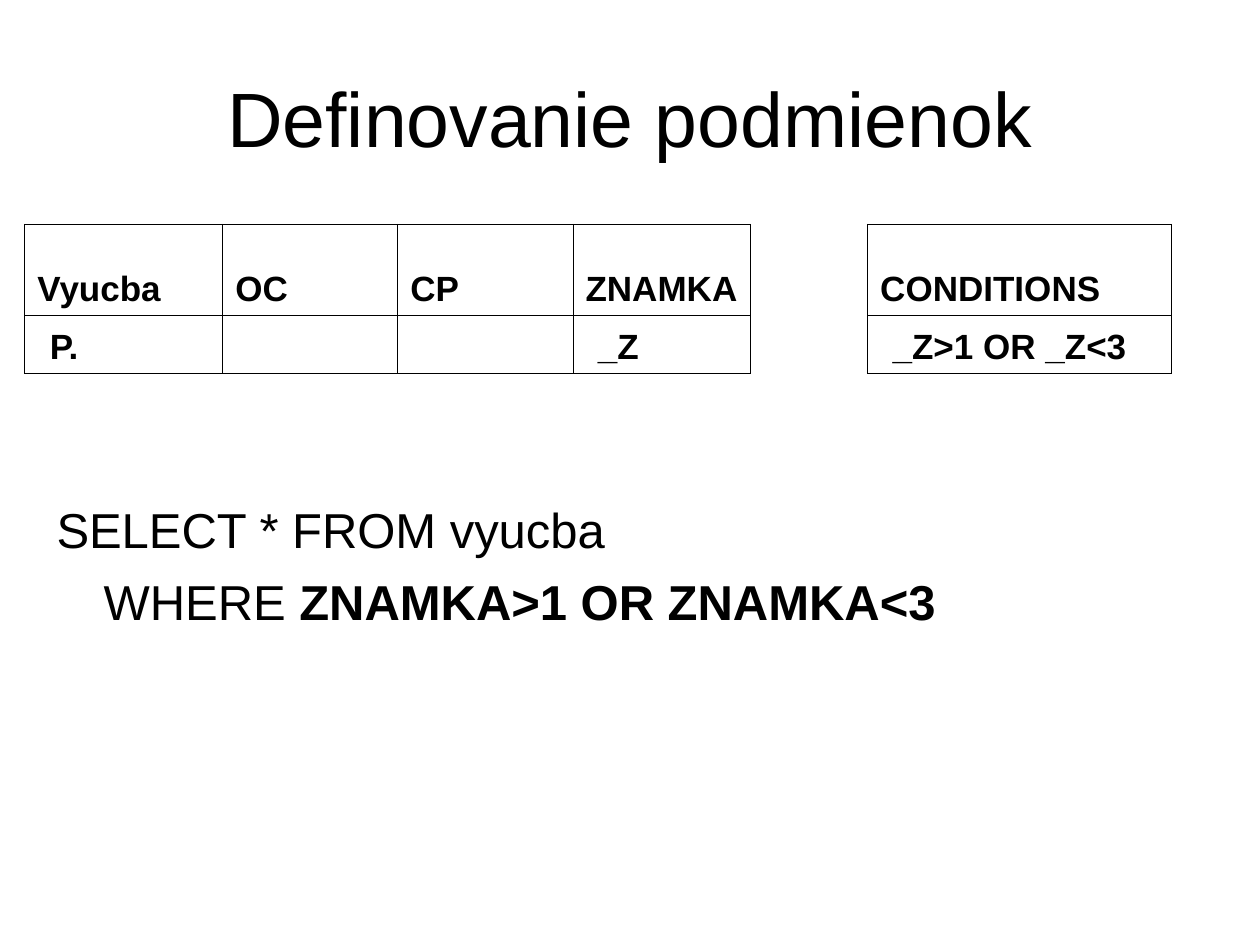
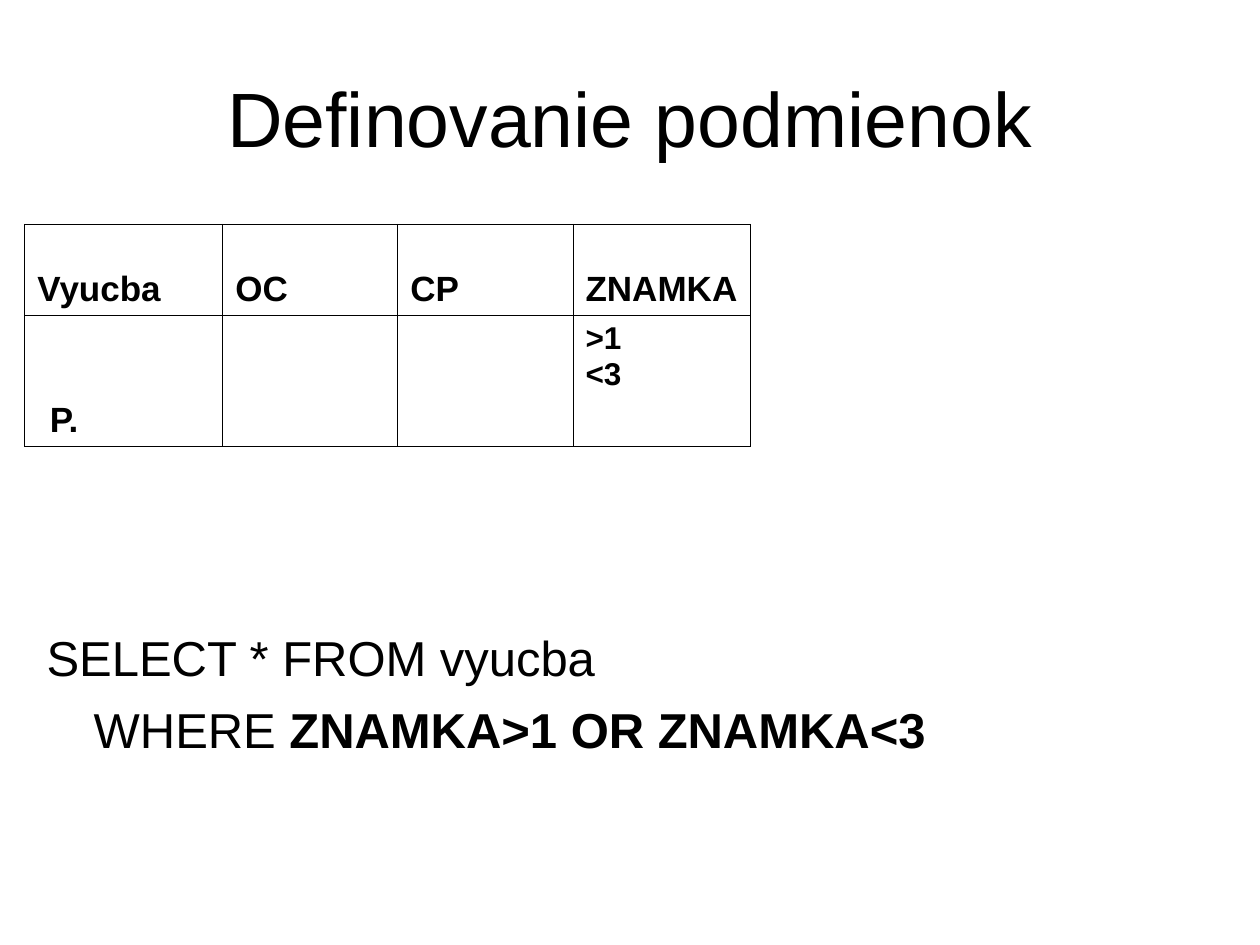
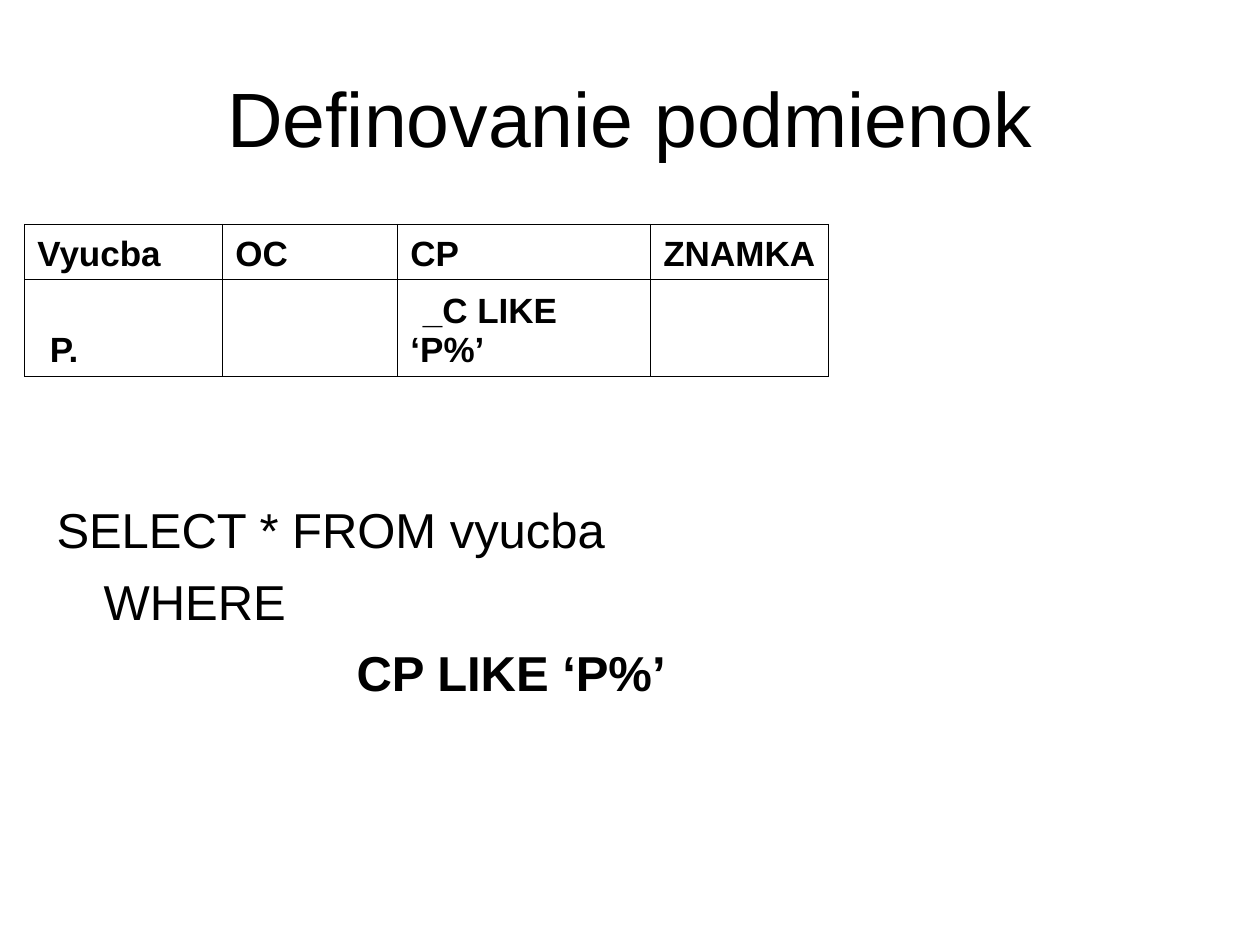
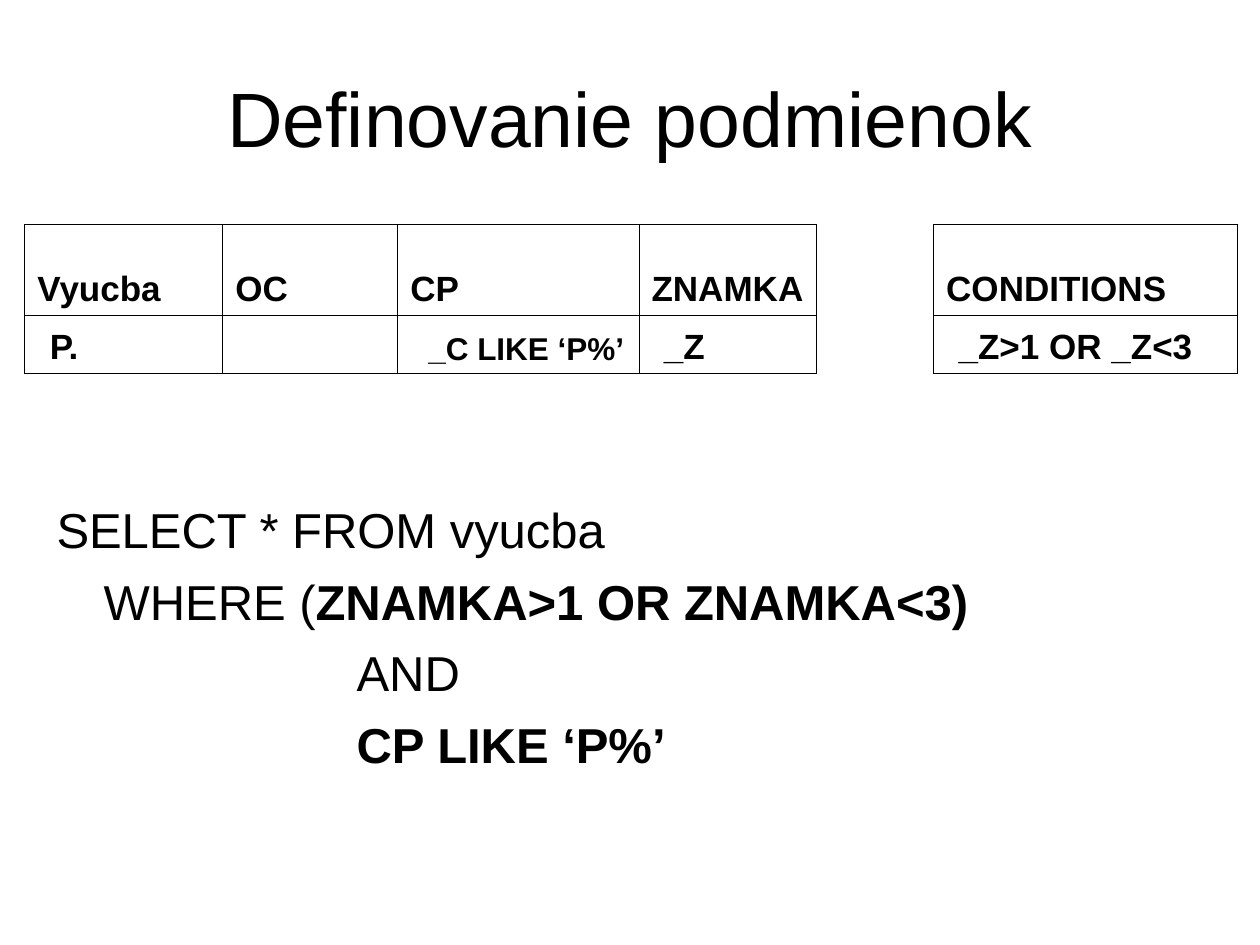
from dataclasses import dataclass, field

from lxml.etree import SubElement
from pptx import Presentation
from pptx.dml.color import RGBColor
from pptx.enum.text import MSO_ANCHOR, MSO_AUTO_SIZE, PP_ALIGN
from pptx.oxml import parse_xml
from pptx.oxml.ns import nsdecls, qn
from pptx.presentation import Presentation as Deck
from pptx.slide import Slide
from pptx.table import _Cell
from pptx.text.text import _Paragraph
from pptx.util import Cm, Pt


# Shared look
@dataclass(frozen=True)
class Theme:
    font: str = "Arial"
    ink: RGBColor = RGBColor(0x00, 0x00, 0x00)
    paper: RGBColor = RGBColor(0xFF, 0xFF, 0xFF)
    title_size: float = 44
    query_size: float = 28
    query_line: float = 34
    query_gap: float = 7
    cell_size: float = 20
    small_cell_size: float = 18
    border_width: float = 0.45


THEME = Theme()
TITLE = "Definovanie podmienok"
TITLE_ONLY = 5

# Column widths, row heights and indents in centimetres
NAME, CODE, GRADE, GAP, CONDITIONS = 3.99, 3.53, 3.58, 2.36, 6.12
HEADER_ROW, VALUE_ROW = 1.83, 1.17
CLAUSE, OPERAND = 0.95, 6.05
CELL_INDENT = 0.25


@dataclass(frozen=True)
class Value:
    """Content of a table cell; a missing Value is an empty cell."""
    lines: tuple[str, ...]
    size: float = THEME.cell_size
    indent: float = CELL_INDENT
    anchor: MSO_ANCHOR = MSO_ANCHOR.BOTTOM


@dataclass(frozen=True)
class Column:
    header: str
    width: float
    value: Value | None = None
    is_gap: bool = False


@dataclass(frozen=True)
class QueryLine:
    plain: str = ""
    bold: str = ""
    indent: float = 0


@dataclass(frozen=True)
class Example:
    columns: tuple[Column, ...]
    query: tuple[QueryLine, ...]
    rows: tuple[float, float] = (HEADER_ROW, VALUE_ROW)
    query_box: tuple[float, float, float, float] = field(
        default=(0.89, 9.93, 22.86, 6.07))


# Parts shared by the examples
PRINT = Column("Vyucba", NAME, Value(("P.",)))
SUBJECT_CODE = Column("OC", CODE)
PERSON_CODE = Column("CP", CODE)
GRADE_VARIABLE = Column("ZNAMKA", GRADE, Value(("_Z",)))
CONDITION_BOX = (
    Column("", GAP, is_gap=True),
    Column("CONDITIONS", CONDITIONS, Value(("_Z>1 OR _Z<3",))),
)
SELECT = QueryLine("SELECT * FROM vyucba")
WHERE_GRADE = QueryLine("WHERE ", "ZNAMKA>1 OR ZNAMKA<3", CLAUSE)
LIKE_LINE = QueryLine(bold="CP LIKE ‘P%’", indent=OPERAND)
LIKE_TEXT = ("_C LIKE ‘P%’",)

EXAMPLES = (
    Example((PRINT, SUBJECT_CODE, PERSON_CODE, GRADE_VARIABLE, *CONDITION_BOX),
            (SELECT, WHERE_GRADE)),
    Example((PRINT, SUBJECT_CODE, PERSON_CODE,
             Column("ZNAMKA", GRADE, Value((">1", "<3"), THEME.small_cell_size,
                                           0, MSO_ANCHOR.TOP))),
            (SELECT, WHERE_GRADE),
            rows=(HEADER_ROW, 2.64),
            query_box=(0.69, 12.52, 22.86, 3.61)),
    Example((PRINT, SUBJECT_CODE, Column("CP", 5.1, Value(LIKE_TEXT)),
             Column("ZNAMKA", GRADE)),
            (SELECT, QueryLine("WHERE", indent=CLAUSE), LIKE_LINE),
            rows=(1.12, 1.95)),
    Example((PRINT, SUBJECT_CODE,
             Column("CP", 4.86, Value(LIKE_TEXT, THEME.small_cell_size, 0.36)),
             GRADE_VARIABLE, *CONDITION_BOX),
            (SELECT, QueryLine("WHERE (", "ZNAMKA>1 OR ZNAMKA<3)", CLAUSE),
             QueryLine("AND", indent=OPERAND), LIKE_LINE),
            query_box=(0.89, 9.93, 23.01, 6.81)),
)


# Text
def add_run(paragraph: _Paragraph, text: str, size: float, bold: bool = False) -> None:
    run = paragraph.add_run()
    run.text = text
    run.font.name = THEME.font
    run.font.size = Pt(size)
    run.font.bold = bold
    run.font.color.rgb = THEME.ink


def add_title(slide: Slide) -> None:
    title = slide.shapes.title
    title.left, title.top, title.width, title.height = map(Cm, (1.27, 0.76, 22.86, 3.18))
    title.text_frame.vertical_anchor = MSO_ANCHOR.MIDDLE
    title.text_frame.auto_size = MSO_AUTO_SIZE.NONE
    paragraph = title.text_frame.paragraphs[0]
    paragraph.alignment = PP_ALIGN.CENTER
    add_run(paragraph, TITLE, THEME.title_size)


def add_query(slide: Slide, example: Example) -> None:
    frame = slide.shapes.add_textbox(*map(Cm, example.query_box)).text_frame
    frame.word_wrap = True
    for index, line in enumerate(example.query):
        paragraph = frame.add_paragraph() if index else frame.paragraphs[0]
        paragraph.line_spacing = Pt(THEME.query_line)
        if index:
            paragraph.space_before = Pt(THEME.query_gap)
        paragraph._p.get_or_add_pPr().set("marL", str(Cm(line.indent)))
        if line.plain:
            add_run(paragraph, line.plain, THEME.query_size)
        if line.bold:
            add_run(paragraph, line.bold, THEME.query_size, bold=True)


# Table
def set_borders(cell: _Cell, is_gap: bool) -> None:
    properties = cell._tc.get_or_add_tcPr()
    for position, side in enumerate("LRTB"):
        line = parse_xml(f'<a:ln{side} {nsdecls("a")} w="{Pt(THEME.border_width)}"/>')
        if is_gap and side in "TB":
            SubElement(line, qn("a:noFill"))
        else:
            fill = SubElement(line, qn("a:solidFill"))
            SubElement(fill, qn("a:srgbClr"), val=str(THEME.ink))
        properties.insert(position, line)


def fill_cell(cell: _Cell, value: Value | None, is_gap: bool) -> None:
    cell.fill.background()
    set_borders(cell, is_gap)
    if value is None:
        return
    cell.vertical_anchor = value.anchor
    for index, text in enumerate(value.lines):
        frame = cell.text_frame
        paragraph = frame.add_paragraph() if index else frame.paragraphs[0]
        paragraph._p.get_or_add_pPr().set("indent", str(Cm(value.indent)))
        add_run(paragraph, text, value.size, bold=True)


def add_query_table(slide: Slide, example: Example) -> None:
    columns = example.columns
    width = sum(column.width for column in columns)
    table = slide.shapes.add_table(
        len(example.rows), len(columns),
        Cm(0.5), Cm(4.52), Cm(width), Cm(sum(example.rows))).table
    table.first_row = table.horz_banding = False
    for row, height in zip(table.rows, example.rows):
        row.height = Cm(height)
    for index, column in enumerate(columns):
        table.columns[index].width = Cm(column.width)
        header = Value((column.header,), indent=0) if column.header else None
        for row_index, value in enumerate((header, column.value)):
            fill_cell(table.cell(row_index, index), value, column.is_gap)


def add_example(presentation: Deck, example: Example) -> None:
    slide = presentation.slides.add_slide(presentation.slide_layouts[TITLE_ONLY])
    add_title(slide)
    add_query(slide, example)
    add_query_table(slide, example)


def main() -> None:
    presentation = Presentation()
    presentation.slide_width, presentation.slide_height = Cm(25.4), Cm(19.05)
    background = presentation.slide_master.background.fill
    background.solid()
    background.fore_color.rgb = THEME.paper
    for example in EXAMPLES:
        add_example(presentation, example)
    presentation.save("out.pptx")


if __name__ == "__main__":
    main()
